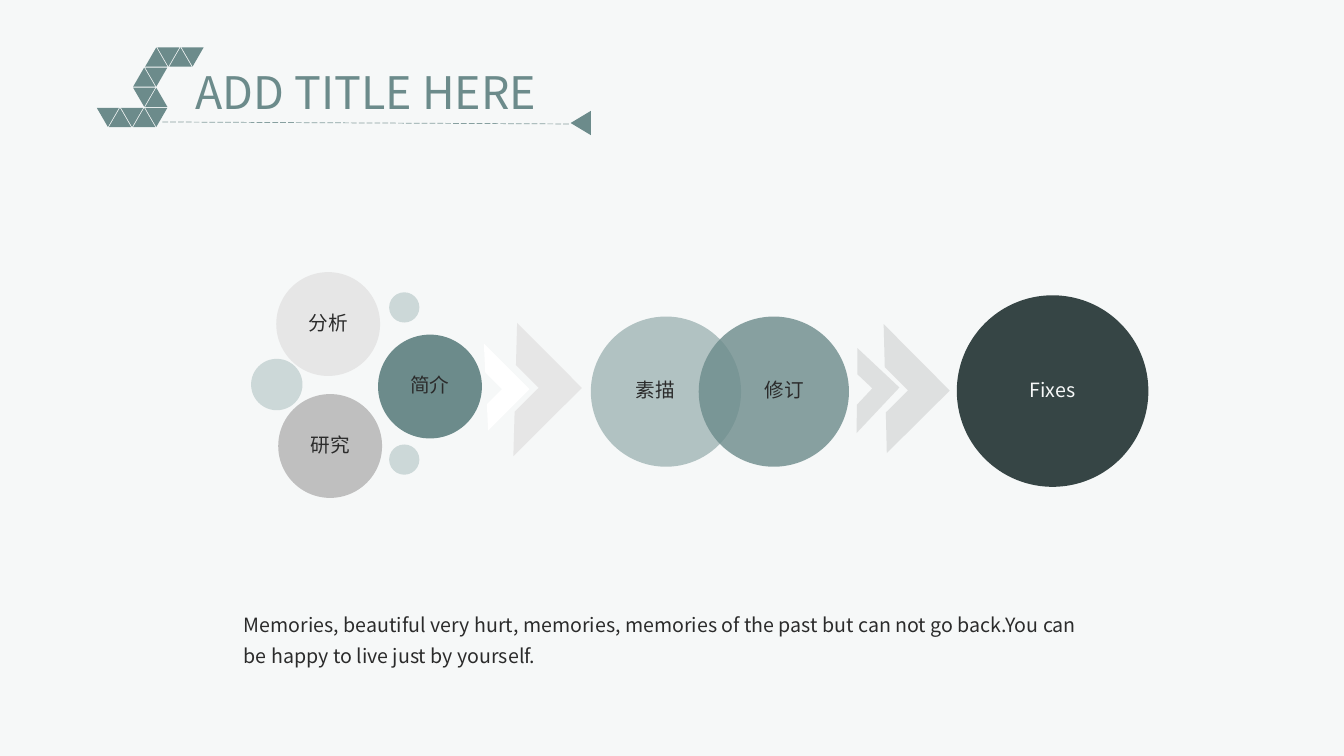
from lxml import etree
from pptx import Presentation
from pptx import util as u
from pptx.dml.color import RGBColor
from pptx.enum import dml, shapes, text
from pptx.oxml import ns

FONT = "Noto Sans CJK SC"
TEAL, INK, PAPER, MIST, SILVER = "6C8B8B", "2B2B2B", "F6F8F8", "CCD8D8", "E6E6E6"

TITLE = "ADD TITLE HERE"
BODY = ("Memories, beautiful very hurt, memories, memories of the past but can not "
        "go back.You can be happy to live just by yourself.")

# left, top, width, height, rotation, fill, opacity in percent
CHEVRONS = [
    (4.53, 3.52, 0.58, 0.64, 135, "FFFFFF", 100),
    (4.63, 3.41, 0.96, 0.91, 135.1, SILVER, 100),
    (8.34, 3.39, 0.88, 0.93, 135.2, "959595", 24),
    (8.19, 3.59, 0.62, 0.57, 133.2, "959595", 24),
]
# left, top, diameter, fill, opacity, label, label colour, left and right insets
CIRCLES = [
    (5.86, 3.14, 1.49, "B1C2C2", 100, "素描", INK, 0, 0.21),
    (6.93, 3.14, 1.49, TEAL, 80, "修订", INK, 0.21, 0),
    (2.74, 2.7, 1.03, SILVER, 100, "分析", INK, 0, 0),
    (2.49, 3.56, 0.51, MIST, 100, "", INK, 0, 0),
    (3.86, 2.9, 0.3, MIST, 100, "", INK, 0, 0),
    (3.75, 3.32, 1.03, TEAL, 100, "简介", INK, 0, 0),
    (3.86, 4.41, 0.3, MIST, 100, "", INK, 0, 0),
    (2.76, 3.91, 1.03, "BFBFBF", 100, "研究", INK, 0, 0),
    (9.49, 2.93, 1.9, "364545", 100, "Fixes", PAPER, 0, 0),
]
# columns of the triangle ribbon filled in each row
RIBBON_ROWS = [(4, 5, 6, 7), (3, 4), (3, 4), (0, 1, 2, 3, 4)]
RIBBON_LEFT, RIBBON_TOP, COLUMN_STEP, ROW_STEP = 0.96, 0.47, 0.12, 0.2


def colour(value):
    return RGBColor.from_string(value)


def paint(fill, value, opacity=100):
    fill.solid()
    fill.fore_color.rgb = colour(value)
    if opacity < 100:
        tint = fill._xPr.find(".//" + ns.qn("a:srgbClr"))
        etree.SubElement(tint, ns.qn("a:alpha"), val=str(opacity * 1000))


def add_figure(kind, left, top, width, height, fill, opacity=100, rotation=0):
    figure = slide.shapes.add_shape(kind, *map(u.Inches, (left, top, width, height)))
    figure.shadow.inherit = False
    figure.line.fill.background()
    figure.rotation = rotation
    paint(figure.fill, fill, opacity)
    return figure


def write(box, words, size=14, ink=INK, align=text.PP_ALIGN.LEFT,
          anchor=text.MSO_ANCHOR.TOP, spacing=None, insets=(0.1, 0.05, 0.1, 0.05)):
    frame = box.text_frame
    frame.word_wrap = True
    frame.auto_size = text.MSO_AUTO_SIZE.NONE
    frame.vertical_anchor = anchor
    (frame.margin_left, frame.margin_top,
     frame.margin_right, frame.margin_bottom) = map(u.Inches, insets)
    para = frame.paragraphs[0]
    para.alignment = align
    para.line_spacing = spacing
    span = para.add_run()
    span.text = words
    span.font.size = u.Pt(size)
    span.font.name = FONT
    span.font.color.rgb = colour(ink)
    etree.SubElement(span.font._element, ns.qn("a:ea"), typeface=FONT)


def place(box, left, top, width, height):
    box.left, box.top, box.width, box.height = map(u.Inches, (left, top, width, height))


deck = Presentation()
deck.slide_width, deck.slide_height = u.Inches(13.33), u.Inches(7.5)
slide = deck.slides.add_slide(deck.slide_layouts[5])
paint(slide.background.fill, PAPER)

title = slide.shapes.title
place(title, 1.84, 0.56, 4.63, 0.64)
write(title, TITLE, size=32, ink=TEAL, spacing=u.Pt(41))

for left, top, width, height, rotation, fill, opacity in CHEVRONS:
    add_figure(shapes.MSO_SHAPE.HALF_FRAME, left, top, width, height, fill, opacity, rotation)

for left, top, size, fill, opacity, label, ink, inset_left, inset_right in CIRCLES:
    circle = add_figure(shapes.MSO_SHAPE.OVAL, left, top, size, size, fill, opacity)
    if label:
        write(circle, label, ink=ink, align=text.PP_ALIGN.CENTER, spacing=0.9,
              anchor=text.MSO_ANCHOR.MIDDLE, insets=(inset_left, 0, inset_right, 0))

body = slide.shapes.add_textbox(*map(u.Inches, (2.32, 5.96, 8.56, 0.68)))
write(body, BODY, spacing=u.Pt(22))

rule = slide.shapes.add_connector(
    shapes.MSO_CONNECTOR.STRAIGHT, *map(u.Inches, (1.61, 1.21, 5.66, 1.23)))
rule.line.width = u.Pt(0.5)
paint(rule.line.fill, TEAL, 80)
rule.line.dash_style = dml.MSO_LINE.LONG_DASH
etree.SubElement(rule._element.spPr, ns.qn("a:effectLst"))
TRIANGLE = shapes.MSO_SHAPE.ISOSCELES_TRIANGLE
add_figure(TRIANGLE, 5.64, 1.12, 0.24, 0.2, TEAL, rotation=270)

for row, columns in enumerate(RIBBON_ROWS):
    for column in columns:
        points_down = (row + column) % 2
        add_figure(TRIANGLE, RIBBON_LEFT + column * COLUMN_STEP, RIBBON_TOP + row * ROW_STEP,
                   0.22, 0.19, TEAL, rotation=180 * points_down)

deck.save("out.pptx")
